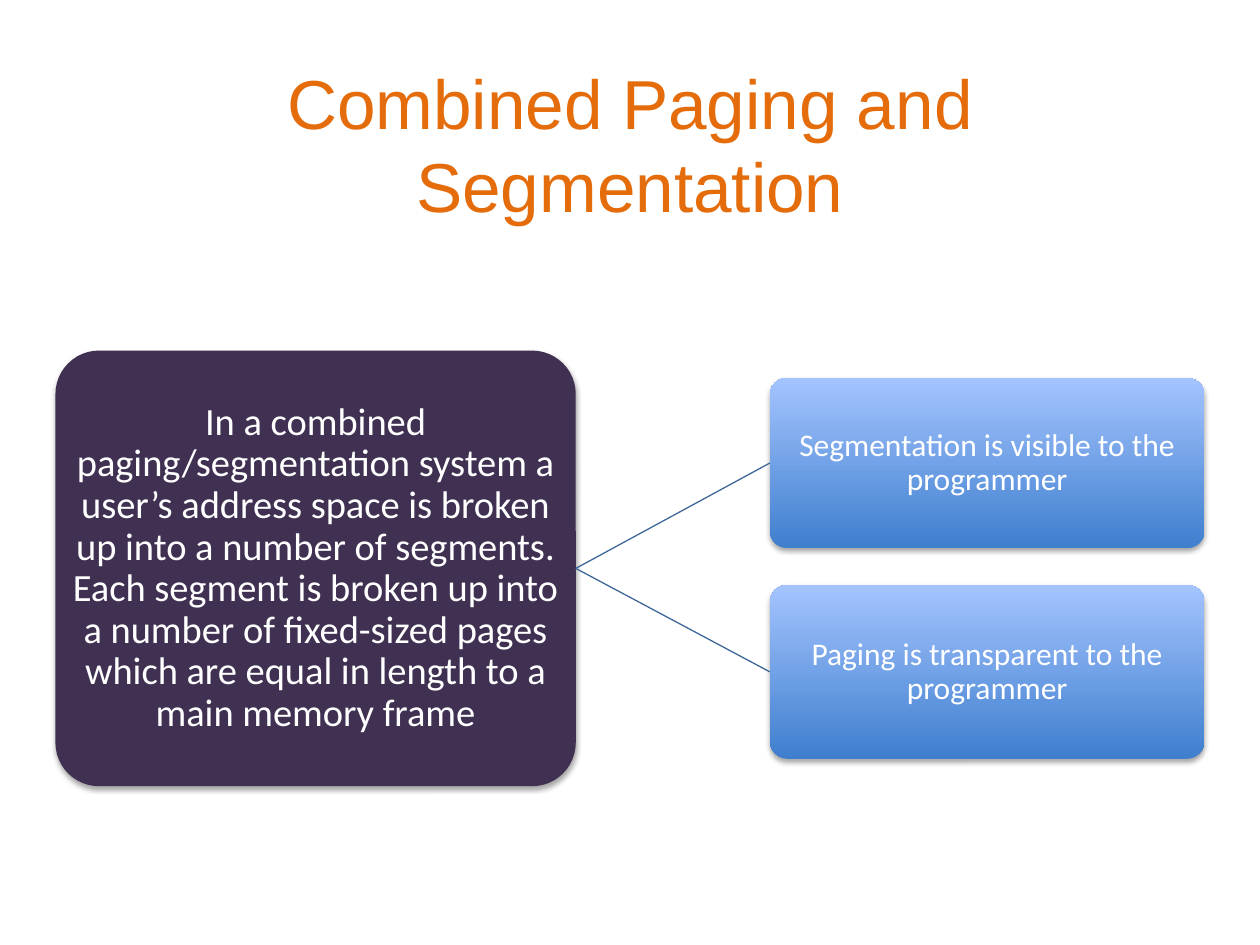
"""Build a slide on combined paging and segmentation with one idea branching into two."""
from lxml.etree import SubElement
from pptx import Presentation
from pptx.dml.color import RGBColor
from pptx.enum.shapes import MSO_CONNECTOR as LINE, MSO_SHAPE as SHAPE
from pptx.enum.text import MSO_ANCHOR as ANCHOR, PP_ALIGN as ALIGN
from pptx.oxml.ns import qn
from pptx.util import Inches, Pt

COLORS = {"title": "E46C0A", "system": "403152", "text": "FFFFFF",
          "branch": "3F6797", "bottom": "3F7FCE", "top": "A4C4FF"}
WIDTH, HEIGHT = Inches(10), Inches(7.5)
LEFT_COLUMN, RIGHT_COLUMN = 0.044, 0.611


def color(name):
    return RGBColor.from_string(COLORS[name])


def add_card(column, row, width, height, text, size, margin):
    card = slide.shapes.add_shape(SHAPE.ROUNDED_RECTANGLE, int(WIDTH * column), int(HEIGHT * row),
                                  int(WIDTH * width), int(HEIGHT * height))
    card.adjustments[0] = 0.1
    card.line.fill.background()
    card.shadow.inherit = False
    effects = card._element.spPr.find(qn("a:effectLst"))
    shadow = SubElement(effects, qn("a:outerShdw"), blurRad=str(Pt(3.1)), dist=str(Pt(1.8)),
                        dir="5400000", rotWithShape="0")
    black = SubElement(shadow, qn("a:srgbClr"), val="000000")
    SubElement(black, qn("a:alpha"), val="35000")
    frame = card.text_frame
    frame.text = text
    frame.word_wrap = True
    frame.vertical_anchor = ANCHOR.MIDDLE
    frame.margin_left = frame.margin_right = Inches(margin)
    frame.margin_top = frame.margin_bottom = Inches(margin)
    paragraph = frame.paragraphs[0]
    paragraph.alignment = ALIGN.CENTER
    paragraph.line_spacing = 0.9
    font = paragraph.runs[0].font
    font.name, font.size, font.color.rgb = "Calibri", Pt(size), color("text")
    return card


deck = Presentation()
deck.slide_width, deck.slide_height = WIDTH, HEIGHT
slide = deck.slides.add_slide(deck.slide_layouts[5])

title = slide.shapes.title
title.left, title.top = int(WIDTH * 0.05), int(HEIGHT * 0.068)
title.width, title.height = int(WIDTH * 0.9), int(HEIGHT * 0.167)
title.text_frame.text = "Combined Paging and Segmentation"
title.text_frame.vertical_anchor = ANCHOR.MIDDLE
heading = title.text_frame.paragraphs[0]
heading.alignment = ALIGN.CENTER
heading_font = heading.runs[0].font
heading_font.name, heading_font.size, heading_font.color.rgb = "Arial", Pt(39.6), color("title")

system = add_card(
    LEFT_COLUMN, 0.371, 0.413, 0.461,
    "In a combined paging/segmentation system a user’s address space is broken up into a number "
    "of segments. Each segment is broken up into a number of fixed-sized pages which are equal "
    "in length to a main memory frame", 22, 0.02)
system.fill.solid()
system.fill.fore_color.rgb = color("system")

for row, height, text in [(0.4, 0.18, "Segmentation is visible to the programmer"),
                          (0.619, 0.184, "Paging is transparent to the programmer")]:
    aspect = add_card(RIGHT_COLUMN, row, 0.345, height, text, 18, 0.01)
    aspect.fill.gradient()
    aspect.fill.gradient_angle = 90
    for stop, shade in zip(aspect.fill.gradient_stops, ("bottom", "top")):
        stop.color.rgb = color(shade)
    branch = slide.shapes.add_connector(LINE.STRAIGHT, 0, 0, 0, 0)
    branch.begin_connect(system, 3)
    branch.end_connect(aspect, 1)
    branch.line.color.rgb = color("branch")
    branch.line.width = Pt(0.75)
    SubElement(branch._element.spPr, qn("a:effectLst"))

deck.save("out.pptx")
